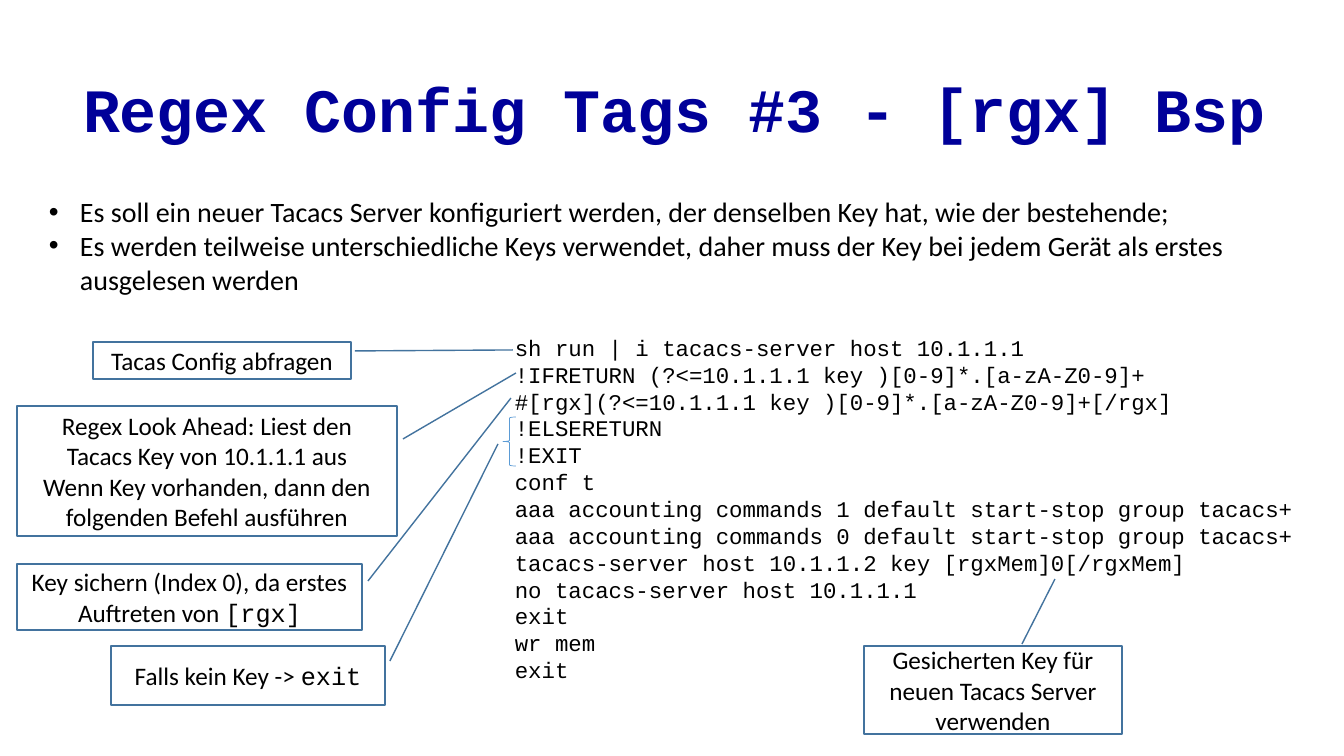
from dataclasses import dataclass

from lxml.etree import SubElement
from pptx import Presentation
from pptx.dml.color import RGBColor
from pptx.enum.shapes import MSO_SHAPE
from pptx.enum.text import MSO_ANCHOR, MSO_AUTO_SIZE, PP_ALIGN
from pptx.oxml.ns import qn
from pptx.util import Emu, Pt

EMU_PER_PX = 12192000 / 1344


@dataclass(frozen=True)
class Theme:
    body_font: str = "Calibri"
    code_font: str = "Courier New"
    title_color: RGBColor = RGBColor(0x00, 0x00, 0x99)
    text_color: RGBColor = RGBColor(0x00, 0x00, 0x00)
    callout_line: RGBColor = RGBColor(0x43, 0x73, 0x9E)
    brace_line: RGBColor = RGBColor(0x5B, 0x9B, 0xD5)
    title_size: Pt = Pt(44)
    bullet_size: Pt = Pt(20)
    callout_size: Pt = Pt(18)
    code_size: Pt = Pt(16)


THEME = Theme()

TITLE = "Regex Config Tags #3 - [rgx] Bsp"

REQUIREMENTS = [
    "Es soll ein neuer Tacacs Server konfiguriert werden, der denselben Key hat, wie der bestehende;",
    "Es werden teilweise unterschiedliche Keys verwendet, daher muss der Key bei jedem Gerät als erstes "
    "ausgelesen werden",
]

COMMANDS = [
    "sh run | i tacacs-server host 10.1.1.1",
    "!IFRETURN (?<=10.1.1.1 key )[0-9]*.[a-zA-Z0-9]+",
    "#[rgx](?<=10.1.1.1 key )[0-9]*.[a-zA-Z0-9]+[/rgx]",
    "!ELSERETURN",
    "!EXIT",
    "conf t",
    "aaa accounting commands 1 default start-stop group tacacs+",
    "aaa accounting commands 0 default start-stop group tacacs+",
    "tacacs-server host 10.1.1.2 key [rgxMem]0[/rgxMem]",
    "no tacacs-server host 10.1.1.1",
    "exit",
    "wr mem",
    "exit",
]

CALLOUTS = [
    ((93, 342, 258, 37), (355, 351), (513, 350), ["Tacas Config abfragen"], ""),
    ((17, 406, 380, 130), (403, 439), (516, 373),
     ["Regex Look Ahead: Liest den Tacacs Key von 10.1.1.1 aus",
      "Wenn Key vorhanden, dann den folgenden Befehl ausführen"], ""),
    ((17, 564, 345, 66), (368, 581), (511, 398),
     ["Key sichern (Index 0), da erstes Auftreten von "], "[rgx]"),
    ((111, 646, 274, 59), (390, 661), (498, 444), ["Falls kein Key -> "], "exit"),
    ((864, 646, 258, 88), (1022, 644), (1055, 579),
     ["Gesicherten Key für neuen Tacacs Server verwenden"], ""),
]


def px(length):
    return Emu(round(length * EMU_PER_PX))


def style_font(font, name, size, color=THEME.text_color):
    font.name = name
    font.size = size
    font.color.rgb = color


def set_title(slide, box):
    title = slide.shapes.title
    title.left, title.top, title.width, title.height = map(px, box)
    frame = title.text_frame
    frame.text = TITLE
    frame.auto_size = MSO_AUTO_SIZE.NONE
    frame.vertical_anchor = MSO_ANCHOR.MIDDLE
    heading = frame.paragraphs[0]
    heading.alignment = PP_ALIGN.CENTER
    heading.line_spacing = 0.9
    heading.font.bold = True
    style_font(heading.font, THEME.code_font, THEME.title_size, THEME.title_color)


def add_lines(slide, box, lines, font_name, size, wrap):
    frame = slide.shapes.add_textbox(*map(px, box)).text_frame
    frame.text = "\n".join(lines)
    frame.word_wrap = wrap
    frame.auto_size = MSO_AUTO_SIZE.SHAPE_TO_FIT_TEXT
    for line in frame.paragraphs:
        style_font(line.font, font_name, size)
    return frame.paragraphs


def add_bullet(paragraph, indent):
    properties = paragraph._p.get_or_add_pPr()
    properties.set("marL", str(px(indent)))
    properties.set("indent", str(-px(indent)))
    SubElement(properties, qn("a:buFont")).set("typeface", "Arial")
    SubElement(properties, qn("a:buChar")).set("char", "•")


def add_outline(slide, preset, box, color, width):
    outline = slide.shapes.add_shape(preset, *map(px, box))
    outline.shadow.inherit = False
    outline.fill.background()
    outline.line.color.rgb = color
    outline.line.width = Pt(width)
    return outline


def add_callout(slide, box, start, target, lines, code):
    callout = add_outline(slide, MSO_SHAPE.LINE_CALLOUT_1, box, THEME.callout_line, 1)
    left, top, width, height = box
    for index, (x, y) in enumerate((start, target)):
        callout.adjustments[2 * index] = (y - top) / height
        callout.adjustments[2 * index + 1] = (x - left) / width
    frame = callout.text_frame
    frame.text = "\n".join(lines)
    frame.word_wrap = True
    frame.vertical_anchor = MSO_ANCHOR.MIDDLE
    for line in frame.paragraphs:
        line.alignment = PP_ALIGN.CENTER
        style_font(line.font, THEME.body_font, THEME.callout_size)
    if code:
        keyword = frame.paragraphs[-1].add_run()
        keyword.text = code
        keyword.font.name = THEME.code_font


def main():
    presentation = Presentation()
    presentation.slide_width, presentation.slide_height = px(1344), px(756)
    slide = presentation.slides.add_slide(presentation.slide_layouts[5])

    set_title(slide, (53, 40, 1244, 146))
    add_lines(slide, (505, 329, 809, 363), COMMANDS, THEME.code_font, THEME.code_size, False)
    for callout in CALLOUTS:
        add_callout(slide, *callout)
    add_outline(slide, MSO_SHAPE.LEFT_BRACE, (503, 417, 13, 49), THEME.brace_line, 0.5)
    requirements = add_lines(
        slide, (39, 190, 1273, 112), REQUIREMENTS, THEME.body_font, THEME.bullet_size, True)
    for requirement in requirements:
        add_bullet(requirement, 31)

    presentation.save("out.pptx")


if __name__ == "__main__":
    main()
